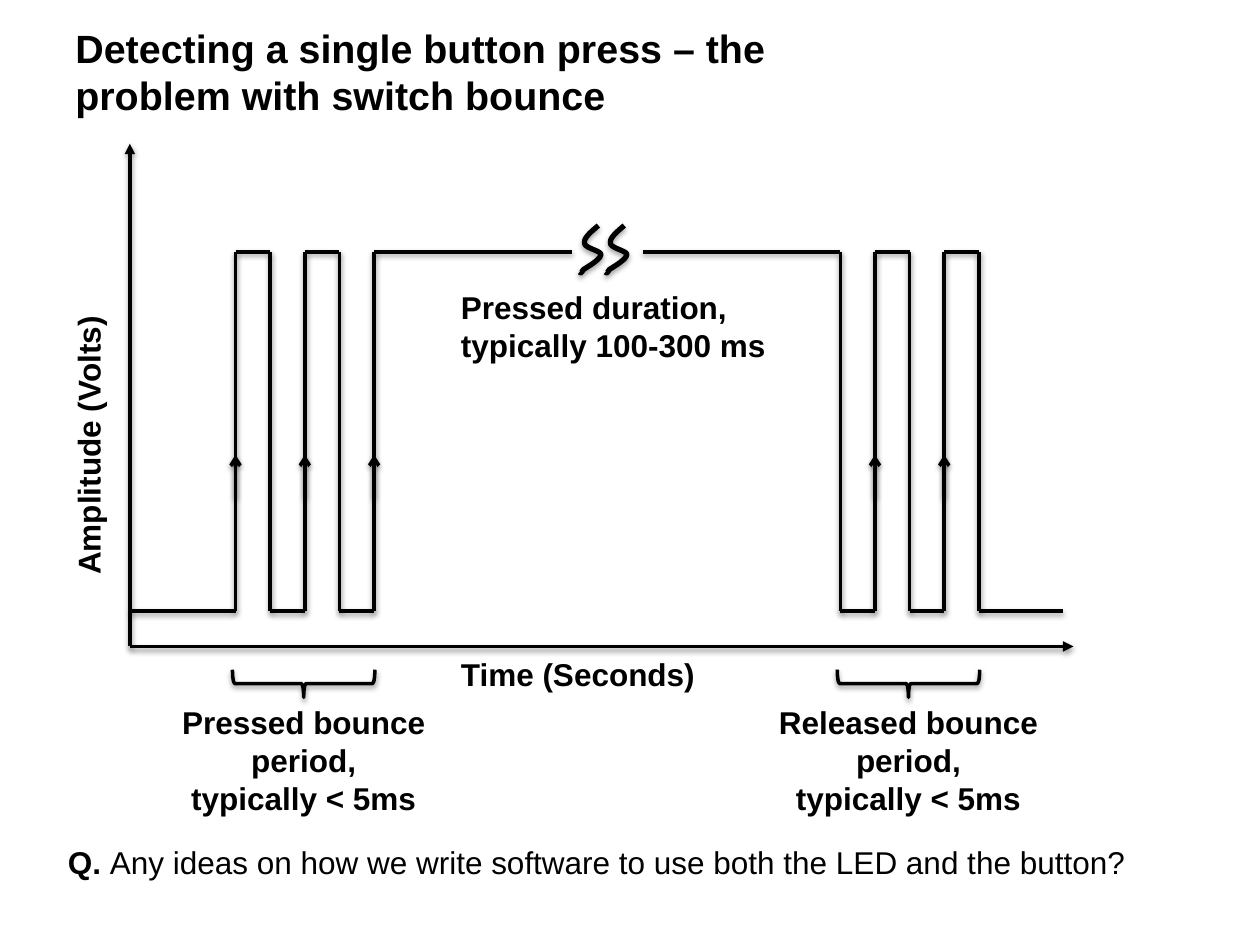
from itertools import pairwise

from lxml.etree import SubElement
from pptx import Presentation
from pptx.dml.color import RGBColor
from pptx.enum.shapes import MSO_CONNECTOR, MSO_SHAPE
from pptx.enum.text import MSO_ANCHOR, MSO_AUTO_SIZE, PP_ALIGN
from pptx.oxml.ns import qn
from pptx.util import Pt

COLOURS = {"ink": "000000", "paper": "FFFFFF"}
INK = RGBColor.from_string(COLOURS["ink"])

presentation = Presentation()
presentation.slide_width, presentation.slide_height = Pt(720), Pt(540)
slide = presentation.slides.add_slide(presentation.slide_layouts[6])
slide.background.fill.solid()
slide.background.fill.fore_color.rgb = RGBColor.from_string(COLOURS["paper"])


def style_line(shape, width=2, head=None):
    """Give a shape a black line, an optional arrowhead and a soft shadow."""
    shape.line.color.rgb = INK
    shape.line.width = Pt(width)
    properties = shape._element.spPr
    if head:
        SubElement(properties.find(qn("a:ln")), qn("a:tailEnd"), type=head)
    effects = properties.find(qn("a:effectLst"))
    if effects is None:
        effects = SubElement(properties, qn("a:effectLst"))
    shadow = SubElement(effects, qn("a:outerShdw"), blurRad=str(Pt(3.1)),
                        dist=str(Pt(1.6)), dir="5400000", rotWithShape="0")
    colour = SubElement(shadow, qn("a:srgbClr"), val=COLOURS["ink"])
    SubElement(colour, qn("a:alpha"), val="38000")


def add_line(start, end, head=None):
    """Draw a straight line between two points."""
    line = slide.shapes.add_connector(
        MSO_CONNECTOR.STRAIGHT, *(Pt(value) for value in (*start, *end)))
    style_line(line, head=head)


# Axes
origin = (74.2, 369.4)
add_line(origin, (613.4, 369.4), "triangle")
add_line(origin, (74.2, 82.1), "triangle")

# Bouncing signal: the level flips at every edge
HIGH, LOW, BOUNCE = 144, 349.2, 19.8
press_edges = [134.6 + BOUNCE * step for step in range(5)]
release_edges = [480.2 + BOUNCE * step for step in range(5)]
signals = [
    (74.2, press_edges, 326.9, LOW, HIGH),
    (367.2, release_edges, 607.7, HIGH, LOW),
]
for start, edges, end, level, other in signals:
    points = [(start, level)]
    for edge in edges:
        points += [(edge, level), (edge, other)]
        level, other = other, level
    points.append((end, level))
    for first, second in pairwise(points):
        add_line(first, second)

for edge in press_edges[::2] + release_edges[1::2]:
    add_line((edge, 284.4), (edge, 259.9), "arrow")

# Break marks, traced along cubic curves
break_start = (342, 128.9)
break_curves = [
    ((337.7, 132.5), (333.4, 136.1), (334.1, 139)),
    ((334.1, 141.8), (343.4, 143.3), (343.4, 145.4)),
    ((343.4, 148.3), (335.5, 152.6), (333.4, 154.1)),
    ((332, 156.2), (332, 156.2), (331.2, 155.5)),
]
trace = [break_start]
for control_1, control_2, end in break_curves:
    start = trace[-1]
    for step in range(1, 13):
        t = step / 12
        trace.append(tuple(
            (1 - t) ** 3 * a + 3 * (1 - t) ** 2 * t * b
            + 3 * (1 - t) * t ** 2 * c + t ** 3 * d
            for a, b, c, d in zip(start, control_1, control_2, end)))
for offset in (0, 14.8):
    outline = [(Pt(x + offset), Pt(y)) for x, y in trace]
    builder = slide.shapes.build_freeform(*outline[0])
    builder.add_line_segments(outline[1:], close=False)
    break_mark = builder.convert_to_shape()
    break_mark.shadow.inherit = False
    break_mark.fill.background()
    style_line(break_mark, 3)

# Braces below the two bounce periods
for left in (165.6, 511.2):
    brace = slide.shapes.add_shape(
        MSO_SHAPE.RIGHT_BRACE, Pt(left), Pt(349.9), Pt(15.8), Pt(81.4))
    brace.rotation = 90
    brace.shadow.inherit = False
    brace.fill.background()
    style_line(brace)

# Texts: box, size, rotation, alignment, paragraphs of (text, bold) runs
left, centre, justify = PP_ALIGN.LEFT, PP_ALIGN.CENTER, PP_ALIGN.JUSTIFY
texts = [
    ((36, 21.6, 475.2, 38.2), 22.5, 0, left,
     [[("Detecting a single button press – the problem with switch bounce", True)]]),
    ((256.3, 370.8, 191.5, 28.8), 18, 0, left, [[("Time (Seconds)", True)]]),
    ((-45.4, 225.4, 191.5, 28.8), 18, 270, left, [[("Amplitude (Volts)", True)]]),
    ((256.3, 161.3, 191.5, 51.1), 18, 0, left,
     [[("Pressed duration, typically 100-300 ms", True)]]),
    ((77.8, 398.2, 191.5, 72.7), 18, 0, centre,
     [[("Pressed bounce period,", True)], [("typically < 5ms", True)]]),
    ((423.4, 398.2, 191.5, 72.7), 18, 0, centre,
     [[("Released bounce period,", True)], [("typically < 5ms", True)]]),
    ((31.7, 478.1, 641.5, 28.8), 18, 0, justify,
     [[("Q. ", True),
       ("Any ideas on how we write software to use both the LED and the button?", False)]]),
]
for box, size, rotation, alignment, paragraphs in texts:
    shape = slide.shapes.add_textbox(*(Pt(value) for value in box))
    shape.rotation = rotation
    is_title = size > 18
    frame_format = {
        "word_wrap": True,
        "auto_size": MSO_AUTO_SIZE.NONE if is_title else MSO_AUTO_SIZE.SHAPE_TO_FIT_TEXT,
        "vertical_anchor": MSO_ANCHOR.MIDDLE if is_title else MSO_ANCHOR.TOP,
    }
    for name, value in frame_format.items():
        setattr(shape.text_frame, name, value)
    for index, runs in enumerate(paragraphs):
        frame = shape.text_frame
        paragraph = frame.add_paragraph() if index else frame.paragraphs[0]
        paragraph.alignment = alignment
        for text, bold in runs:
            run = paragraph.add_run()
            run.text = text
            font_format = {"name": "Arial", "size": Pt(size), "bold": bold}
            for name, value in font_format.items():
                setattr(run.font, name, value)
            run.font.color.rgb = INK

presentation.save("out.pptx")
